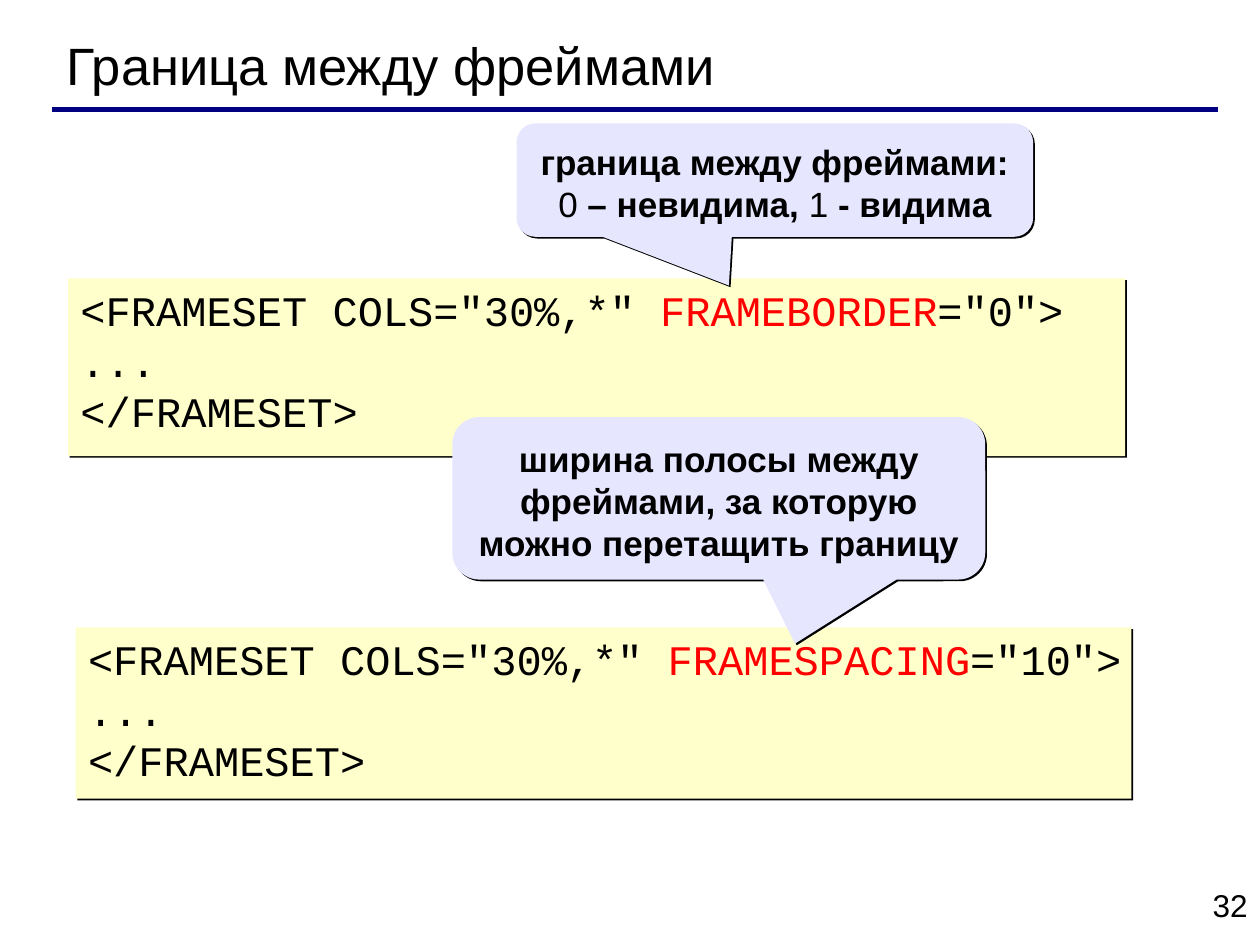
from lxml import etree
from pptx import Presentation, util as u
from pptx.dml.color import RGBColor
from pptx.enum import shapes, text
from pptx.oxml.ns import qn

# Content: runs are (words, format changes); places are (column, row, columns, rows)
TITLE = "Граница между фреймами"
PAGE = "32"
CODE = [
    (("FRAMESPACING", "10"), (6, 49.8, 83.8, 13.6)),
    (("FRAMEBORDER", "0"), (5.4, 22.1, 83.9, 14.1)),
]
PLAIN = {"bold": False}
CALLOUTS = [
    ([[("граница между фреймами:", {})],
      [("0", PLAIN), (" – невидима, ", {}), ("1", PLAIN), (" - видима", {})]],
     (41, 9.8, 41, 9), (-0.089, 0.93, 0.167)),
    ([[("ширина полосы между фреймами, за которую можно перетащить границу", {})]],
     (35.9, 33.1, 42.3, 12.9), (0.143, 0.894, 0.167)),
]

# Grid of 100 columns by 75 rows
COLUMNS, ROWS = 100, 75
deck = Presentation()
deck.slide_width, deck.slide_height = u.Inches(10), u.Inches(7.5)
page = deck.slides.add_slide(deck.slide_layouts[6])


def place(column, row, *size):
    spots = (column, row, *size)
    units = (deck.slide_width / COLUMNS, deck.slide_height / ROWS) * 2
    return [round(spot * unit) for spot, unit in zip(spots, units)]


def colour(value):
    return RGBColor.from_string(value)


def write(box, paragraphs, font, align=text.PP_ALIGN.LEFT, **frame_format):
    frame = box.text_frame
    settings = {"word_wrap": True, "vertical_anchor": text.MSO_ANCHOR.TOP,
                **frame_format}
    for name, value in settings.items():
        setattr(frame, name, value)
    for number, runs in enumerate(paragraphs):
        line = frame.add_paragraph() if number else frame.paragraphs[0]
        line.alignment = align
        for words, changes in runs:
            run = line.add_run()
            run.text = words
            style = {"color": "000000", **font, **changes}
            run.font.color.rgb = colour(style.pop("color"))
            for name, value in style.items():
                setattr(run.font, name, value)


def add_panel(preset, spot, fill):
    panel = page.shapes.add_shape(preset, *place(*spot))
    panel.fill.solid()
    panel.fill.fore_color.rgb = colour(fill)
    panel.line.fill.background()
    # Hard black shadow to the lower right
    panel.shadow.inherit = False
    effects = panel._element.spPr.find(qn("a:effectLst"))
    shadow = etree.SubElement(effects, qn("a:outerShdw"), blurRad="0",
                              dist=str(u.Pt(1.4)), dir="2700000",
                              algn="ctr", rotWithShape="0")
    etree.SubElement(shadow, qn("a:srgbClr"), val="000000")
    return panel


# Page number
number_box = page.shapes.add_textbox(*place(76.7, 69.8, 23.3, 5.2))
write(number_box, [[(PAGE, {})]], {"name": "Arial", "size": u.Pt(18)},
      text.PP_ALIGN.RIGHT)

# Title and its rule
rule = page.shapes.add_connector(shapes.MSO_CONNECTOR.STRAIGHT,
                                 *place(4.1, 8.7, 96.7, 8.7))
rule.line.color.rgb = colour("000080")
rule.line.width = u.Pt(3)
etree.SubElement(rule._element.spPr, qn("a:effectLst"))
title_box = page.shapes.add_textbox(*place(4.3, 2.1, 89, 6))
write(title_box, [[(TITLE, {})]], {"name": "Arial", "size": u.Pt(30)},
      vertical_anchor=text.MSO_ANCHOR.MIDDLE)

# Code panels
for (attribute, value), spot in CODE:
    panel = add_panel(shapes.MSO_SHAPE.RECTANGLE, spot, "FFFFCC")
    listing = [
        [('<FRAMESET COLS="30%,*" ', {}), (attribute, {"color": "FF0000"}),
         (f'="{value}">', {})],
        [("...", {})],
        [("</FRAMESET>", {})],
    ]
    write(panel, listing, {"name": "Courier New", "size": u.Pt(24)},
          word_wrap=False)

# Callouts
for paragraphs, spot, tail in CALLOUTS:
    callout = add_panel(shapes.MSO_SHAPE.ROUNDED_RECTANGULAR_CALLOUT, spot, "E6E6FF")
    for index, share in enumerate(tail):
        callout.adjustments[index] = share
    write(callout, paragraphs, {"name": "Arial", "size": u.Pt(20), "bold": True},
          text.PP_ALIGN.CENTER, vertical_anchor=text.MSO_ANCHOR.MIDDLE,
          margin_top=u.Inches(0.09))

deck.save("out.pptx")
